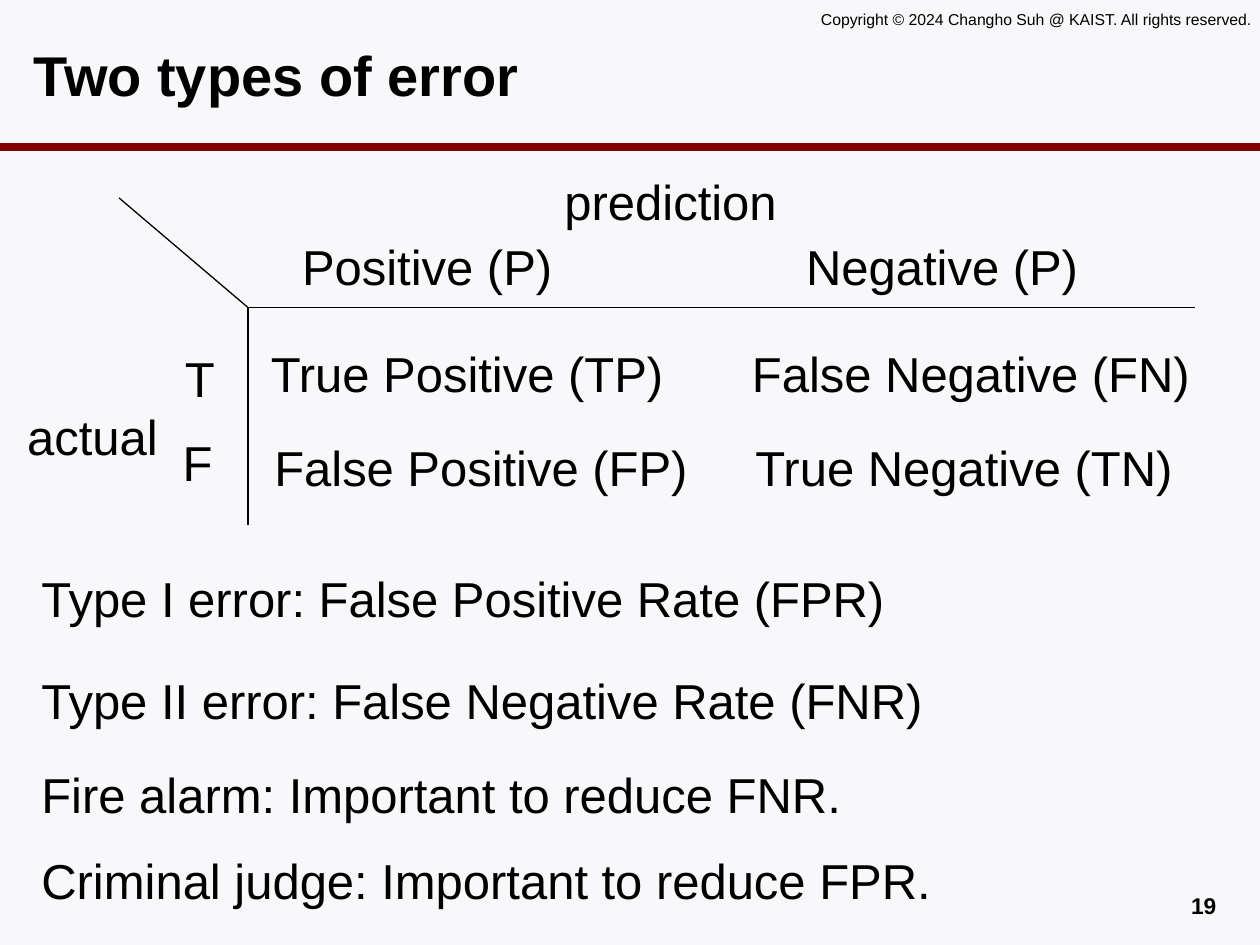
from pptx import Presentation
from pptx import util as u
from pptx.dml.color import RGBColor
from pptx.enum import shapes, text
from pptx.oxml.ns import qn
from lxml import etree

THEME = {
    "font": "Arial",
    "bg": RGBColor(0xF8, 0xF8, 0xFA),
    "ink": RGBColor(0, 0, 0),
    "rule": RGBColor(0x80, 0, 0),
    "title": u.Pt(32),
    "body": u.Pt(28),
    "number": u.Pt(13),
    "small": u.Pt(9),
}


def write(sp, lines, box, size="body", bold=False, gaps=(0,), **fmt):
    """Place a shape (left, top, width, height in cm) and fill it with plain lines."""
    sp.left, sp.top, sp.width, sp.height = map(u.Cm, box)
    tf = sp.text_frame
    frame = {"word_wrap": True, "auto_size": text.MSO_AUTO_SIZE.NONE, **fmt}
    align = frame.pop("alignment", text.PP_ALIGN.LEFT)
    for name, value in frame.items():
        setattr(tf, name, value)
    tf.text = "\n".join(lines)
    for p, gap in zip(tf.paragraphs, gaps):
        pPr = p._p.get_or_add_pPr()
        pPr.set("marL", "0")
        pPr.set("indent", "0")
        etree.SubElement(pPr, qn("a:buNone"))
        p.alignment, p.space_before = align, u.Pt(gap)
        font = {"name": THEME["font"], "size": THEME[size], "bold": bold}
        for r in p.runs:
            for name, value in font.items():
                setattr(r.font, name, value)
            r.font.color.rgb = THEME["ink"]


def line(s, start, end, color="ink", width=0.75):
    c = s.shapes.add_connector(shapes.MSO_CONNECTOR.STRAIGHT,
                               *map(u.Cm, (*start, *end)))
    c.line.color.rgb = THEME[color]
    c.line.width = u.Pt(width)
    etree.SubElement(c._element.spPr, qn("a:effectLst"))


prs = Presentation()
prs.slide_width, prs.slide_height = u.Cm(25.4), u.Cm(19.05)
s = prs.slides.add_slide(prs.slide_layouts[1])
s.background.fill.solid()
s.background.fill.fore_color.rgb = THEME["bg"]

# Header: rule, copyright, title
line(s, (0, 2.97), (25.4, 2.97), "rule", 4.5)
copyright_box = s.shapes.add_textbox(0, 0, 0, 0)
write(copyright_box, ["Copyright © 2024 Changho Suh @ KAIST. All rights reserved."],
      (16.3, 0.08, 9.47, 0.64), "small", word_wrap=False)
write(s.shapes.title, ["Two types of error"], (0.43, 0.43, 24.28, 2.11),
      "title", bold=True, vertical_anchor=text.MSO_ANCHOR.MIDDLE)

# Axes of the error matrix, all meeting in one corner
corner = (5, 6.2)
for end in [(2.4, 3.99), (24.08, 6.2), (5, 10.59)]:
    line(s, corner, end)

# Matrix labels and cells: text, left, top, width
labels = [
    ("prediction", 11.13, 3.33, 6.27),
    ("actual", 0.3, 8.08, 3.68),
    ("Positive (P)", 5.84, 4.65, 6.86),
    ("Negative (P)", 16, 4.65, 6.68),
    ("T", 3.48, 6.91, 1.4),
    ("F", 3.43, 8.59, 1.4),
]
cells = [["True Positive (TP)", "False Negative (FN)"],
         ["False Positive (FP)", "True Negative (TN)"]]
for row, (left, top) in zip(cells, [(5.21, 6.81), (5.28, 8.69)]):
    for col, label in enumerate(row):
        labels.append((label, left + col * 9.7, top, 9.7))
for label, left, top, width in labels:
    write(s.shapes.add_textbox(0, 0, 0, 0), [label], (left, top, width, 1.45))

# Error types and examples
write(s.placeholders[1], [
    "Type I error: False Positive Rate (FPR)",
    "Type II error: False Negative Rate (FNR)",
    "Fire alarm: Important to reduce FNR.",
    "Criminal judge: Important to reduce FPR.",
], (0.58, 11.33, 20.3, 7), gaps=(0, 24.5, 20.5, 15.5),
    vertical_anchor=text.MSO_ANCHOR.TOP)

# Slide number
write(s.shapes.add_textbox(0, 0, 0, 0), ["19"], (18.85, 17.86, 5.92, 0.69),
      "number", bold=True, alignment=text.PP_ALIGN.RIGHT)

prs.save("out.pptx")
